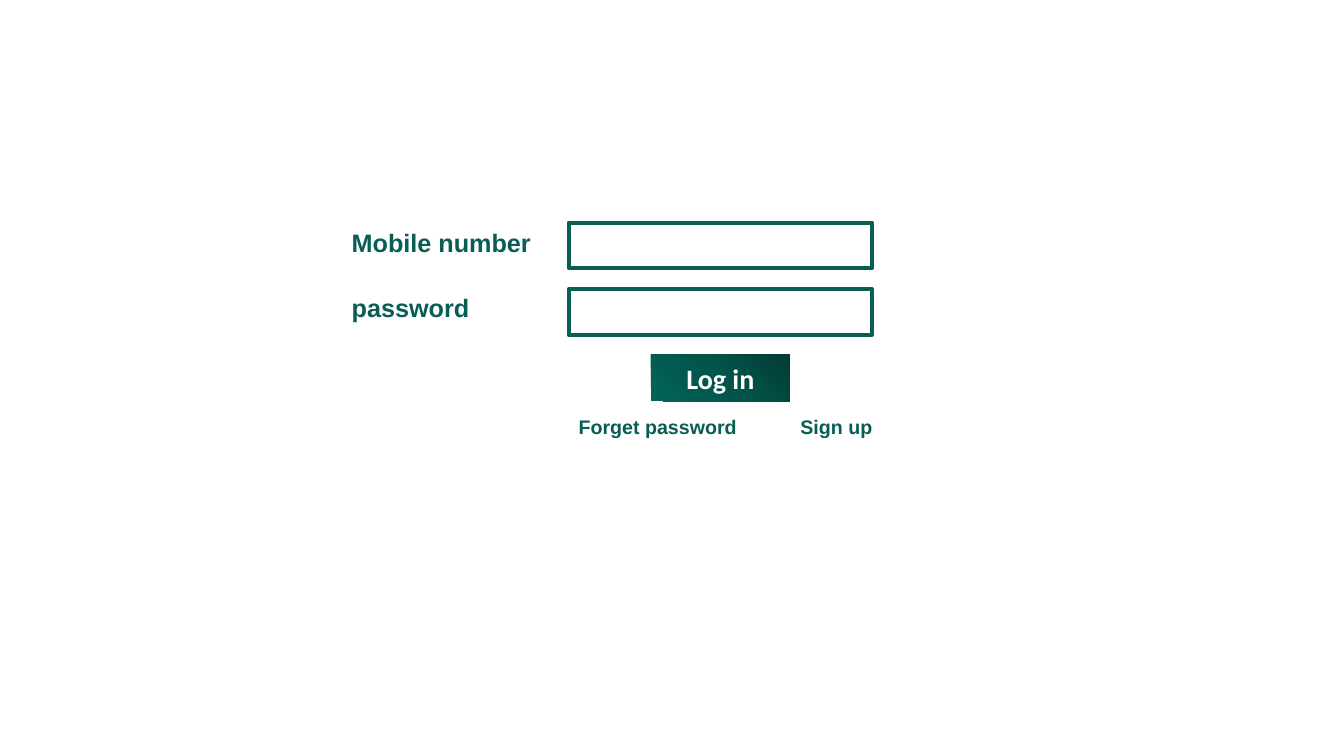
from lxml import etree
from pptx import Presentation
from pptx.dml.color import RGBColor
from pptx.enum import shapes, text
from pptx.oxml import ns
from pptx.util import Inches, Pt

FIELDS = ["Mobile number", "password"]
LOGIN = "Log in"
LINKS = [("Forget password", 5.64, 1.78), ("Sign up", 7.84, 0.92)]

THEME = {
    "green": RGBColor.from_string("085E54"),
    "white": RGBColor.from_string("FFFFFF"),
    "button_stops": [(0, "013C35"), (50, "01554B"), (100, "026459")],
    "label": {"name": "Arial", "size": Pt(18), "bold": True},
    "link": {"name": "Arial", "size": Pt(14), "bold": True},
    "button": {"name": "Calibri", "size": Pt(20), "bold": True},
    "border": Pt(3),
}

LABEL_LEFT, LABEL_WIDTHS, LABEL_HEIGHT, LABEL_STEP = 3.39, [2, 1.38], 0.4, 0.64
FIELD_LEFT, FIELD_WIDTH, FIELD_HEIGHT, FIELD_STEP = 5.64, 3.01, 0.45, 0.66
FORM_TOP = 2.21
BUTTON_TOP, BUTTON_WIDTH, BUTTON_HEIGHT = 3.52, 1.38, 0.46
LINK_TOP, LINK_HEIGHT = 4.07, 0.34


def write(frame, words, style, color):
    run = frame.paragraphs[0].add_run()
    run.text = words
    for key, value in THEME[style].items():
        setattr(run.font, key, value)
    run.font.color.rgb = color


def add_label(slide, words, style, *box):
    frame = slide.shapes.add_textbox(*map(Inches, box)).text_frame
    frame.word_wrap = False
    frame.auto_size = text.MSO_AUTO_SIZE.SHAPE_TO_FIT_TEXT
    write(frame, words, style, THEME["green"])


def add_rectangle(slide, *box):
    rectangle = slide.shapes.add_shape(
        shapes.MSO_SHAPE.RECTANGLE, *map(Inches, box))
    rectangle.shadow.inherit = False
    return rectangle


def radial_fill(shape, stops):
    shape.fill.gradient()
    gradient = shape._element.spPr.find(ns.qn("a:gradFill"))
    for child in list(gradient):
        gradient.remove(child)
    stop_list = etree.SubElement(gradient, ns.qn("a:gsLst"))
    for position, color in stops:
        stop = etree.SubElement(stop_list, ns.qn("a:gs"), pos=str(position * 1000))
        etree.SubElement(stop, ns.qn("a:srgbClr"), val=color)
    circle = etree.SubElement(gradient, ns.qn("a:path"))
    circle.set("path", "circle")
    etree.SubElement(circle, ns.qn("a:fillToRect"), l="100000", b="100000")


def main():
    deck = Presentation()
    deck.slide_width, deck.slide_height = Inches(13.33), Inches(7.5)
    slide = deck.slides.add_slide(deck.slide_layouts[6])

    for row, (name, width) in enumerate(zip(FIELDS, LABEL_WIDTHS)):
        add_label(slide, name, "label", LABEL_LEFT, FORM_TOP + row * LABEL_STEP,
                  width, LABEL_HEIGHT)
        field = add_rectangle(slide, FIELD_LEFT, FORM_TOP + row * FIELD_STEP,
                              FIELD_WIDTH, FIELD_HEIGHT)
        field.fill.background()
        field.line.color.rgb = THEME["green"]
        field.line.width = THEME["border"]

    button_left = FIELD_LEFT + (FIELD_WIDTH - BUTTON_WIDTH) / 2
    button = add_rectangle(slide, button_left, BUTTON_TOP, BUTTON_WIDTH, BUTTON_HEIGHT)
    radial_fill(button, THEME["button_stops"])
    button.line.fill.background()
    button.text_frame.vertical_anchor = text.MSO_ANCHOR.MIDDLE
    button.text_frame.paragraphs[0].alignment = text.PP_ALIGN.CENTER
    write(button.text_frame, LOGIN, "button", THEME["white"])

    for words, left, width in LINKS:
        add_label(slide, words, "link", left, LINK_TOP, width, LINK_HEIGHT)

    deck.save("out.pptx")


if __name__ == "__main__":
    main()
